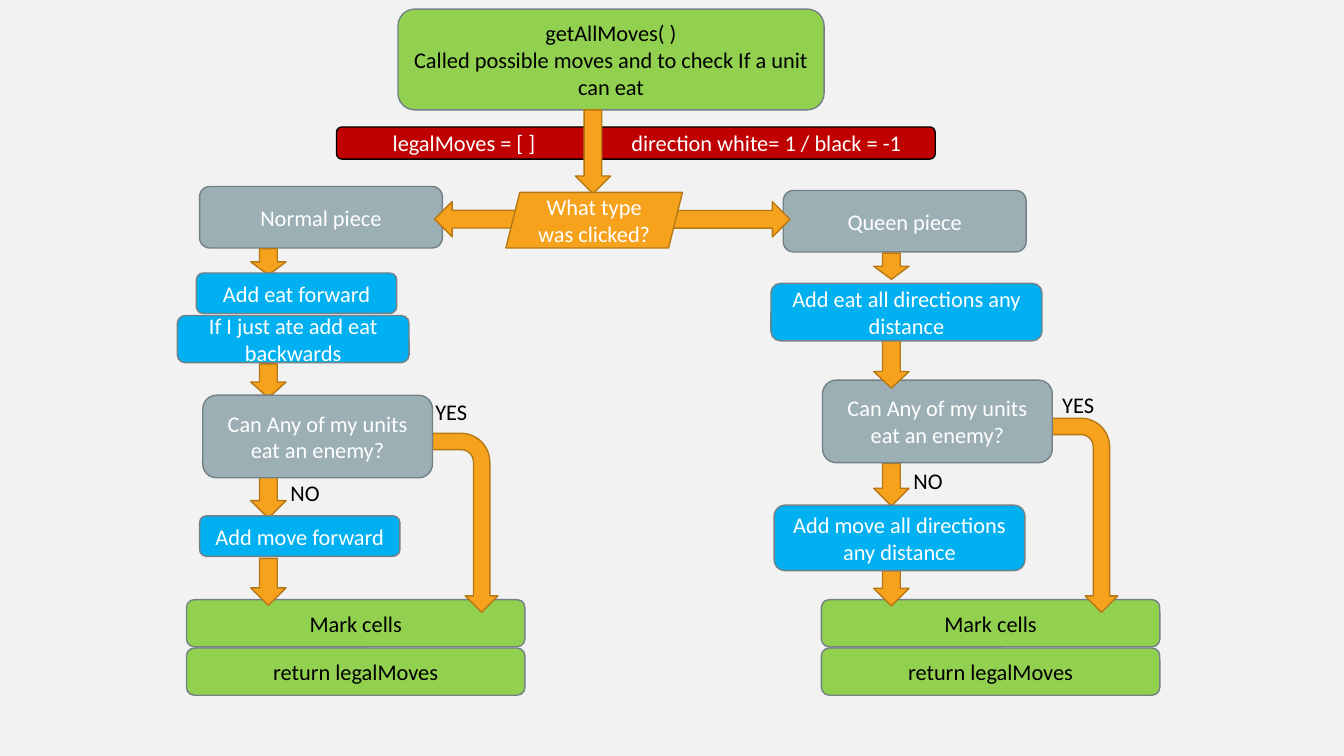
from pptx import Presentation
from pptx.dml.color import RGBColor
from pptx.enum.shapes import MSO_SHAPE
from pptx.enum.text import MSO_ANCHOR, MSO_AUTO_SIZE, PP_ALIGN
from pptx.util import Cm, Pt

ROUND = MSO_SHAPE.ROUNDED_RECTANGLE
DOWN = MSO_SHAPE.DOWN_ARROW
BENT = MSO_SHAPE.BENT_ARROW
SLANT = MSO_SHAPE.PARALLELOGRAM
MIDDLE = MSO_ANCHOR.MIDDLE
GROW = MSO_AUTO_SIZE.SHAPE_TO_FIT_TEXT
CENTER = PP_ALIGN.CENTER

BLACK, WHITE = "000000", "FFFFFF"
GREEN, RED, BLUE = "92D050", "C00000", "00B0F0"
GRAY, EDGE = "9BAFB5", "738186"
ORANGE, RUST = "F6A21D", "B67815"
WIDE = 0.89
QUERY = "Can Any of my units eat an enemy?"


def color(code):
    return RGBColor.from_string(code)


def write(shape, text, ink, align=None):
    frame = shape.text_frame
    frame.word_wrap = True
    frame.text = text
    for para in frame.paragraphs:
        para.alignment = align
        para.font.name = "Calibri"
        para.font.size = Pt(16)
        para.font.color.rgb = color(ink)


def block(slide, kind, box, fill, edge, text="", ink=WHITE):
    shape = slide.shapes.add_shape(kind, *map(Cm, box))
    shape.shadow.inherit = False
    shape.fill.solid()
    shape.fill.fore_color.rgb = color(fill)
    shape.line.color.rgb = color(edge)
    shape.line.width = Pt(1)
    if text:
        shape.text_frame.vertical_anchor = MIDDLE
        write(shape, text, ink, CENTER)
    return shape


def arrow(slide, box, kind=DOWN, turn=0):
    x, y, w, h = box
    if turn:
        x, y, w, h = x + (w - h) / 2, y + (h - w) / 2, h, w
    shape = block(slide, kind, (x, y, w, h), ORANGE, RUST)
    shape.rotation = turn
    return shape


def label(slide, x, y, w, text):
    shape = slide.shapes.add_textbox(Cm(x), Cm(y), Cm(w), Cm(0.94))
    write(shape, text, BLACK)
    shape.text_frame.auto_size = GROW


def branch(slide, box, piece, stem, drops, query, yes, steps):
    left, top, width, height = box
    mark = top + height - 2.42

    def step(x, y, w, h, fill, text):
        block(slide, ROUND, (left + x, top + y, w, h), fill, EDGE, text)

    def drop(y, h):
        return arrow(slide, (left + stem, top + y, WIDE, h))

    for row, text in enumerate(("Mark cells", "return legalMoves")):
        block(slide, ROUND, (left, mark + row * 1.22, width, 1.19),
              GREEN, EDGE, text, BLACK)
    step(*piece)
    first, ask, no, last = drops
    drop(*last)
    drop(*no)
    drop(*first)
    label(slide, left + stem + 0.75, top + no[0] - 0.03, 2.06, "NO")

    x, y = query
    side, bend = left + x + 5.79, top + y + 0.96
    arrow(slide, (side, bend, 1.65, mark + 0.32 - bend), BENT, 90)
    if ask[0] < y - 1:
        step(x, y, 5.79, 2.08, GRAY, QUERY)
        drop(*ask).adjustments[1] = 0.468
    else:
        drop(*ask).adjustments[1] = 0.468
        step(x, y, 5.79, 2.08, GRAY, QUERY)
    label(slide, side + yes[0], top + y + yes[1], 2.57, "YES")
    for item in steps:
        step(*item)


def head(slide, box):
    left, top, width, height = box
    block(slide, ROUND, (left + 1.55, top, 10.74, 2.54), GREEN, EDGE,
          "getAllMoves( )\nCalled possible moves and to check If a unit can eat",
          BLACK)
    bars = ((0, 6.43, "legalMoves = [ ]"),
            (6.58, 8.51, "direction white= 1 / black = -1"))
    for x, w, text in bars:
        block(slide, ROUND, (left + x, top + 2.97, w, 0.81), RED, BLACK, text)
    arrow(slide, (left + 6.02, top + 2.54, WIDE, 2.11))
    for x, w, turn in ((2.47, 2.36, 90), (8.36, 3.07, 270)):
        arrow(slide, (left + x, top + 4.85, w, WIDE), turn=turn)
    block(slide, SLANT, (left + 4.27, top + height - 1.4, 4.45, 1.4),
          ORANGE, RUST, "What type was clicked?")


def main():
    deck = Presentation()
    deck.slide_width, deck.slide_height = Cm(33.87), Cm(19.05)
    slide = deck.slides.add_slide(deck.slide_layouts[6])
    slide.background.fill.solid()
    slide.background.fill.fore_color.rgb = color("F2F2F2")

    branch(slide, (4.7, 4.7, 8.53, 12.83),
           piece=(0.33, 0, 6.12, 1.55, GRAY, "Normal piece"),
           stem=1.62,
           drops=((1.57, 0.66), (4.47, 0.86), (7.29, 1.07), (9.37, 1.19)),
           query=(0.41, 5.26), yes=(-0.18, -0.05),
           steps=((0.25, 2.18, 5.05, 1.02, BLUE, "Add eat forward"),
                  (-0.23, 3.25, 5.84, 1.19, BLUE,
                   "If I just ate add eat backwards"),
                  (0.33, 8.3, 5.05, 1.02, BLUE, "Add move forward")))
    branch(slide, (20.7, 4.8, 8.53, 12.73),
           piece=(-0.96, 0, 6.12, 1.55, GRAY, "Queen piece"),
           stem=1.32,
           drops=((1.58, 0.66), (3.53, 1.45), (6.88, 1.07), (9.58, 0.89)),
           query=(0.03, 4.78), yes=(0, 0.15),
           steps=((-1.27, 2.34, 6.83, 1.45, BLUE,
                   "Add eat all directions any distance"),
                  (-1.19, 7.93, 6.32, 1.65, BLUE,
                   "Add move all directions any distance")))
    head(slide, (8.48, 0.23, 15.09, 6.02))
    deck.save("out.pptx")


if __name__ == "__main__":
    main()
